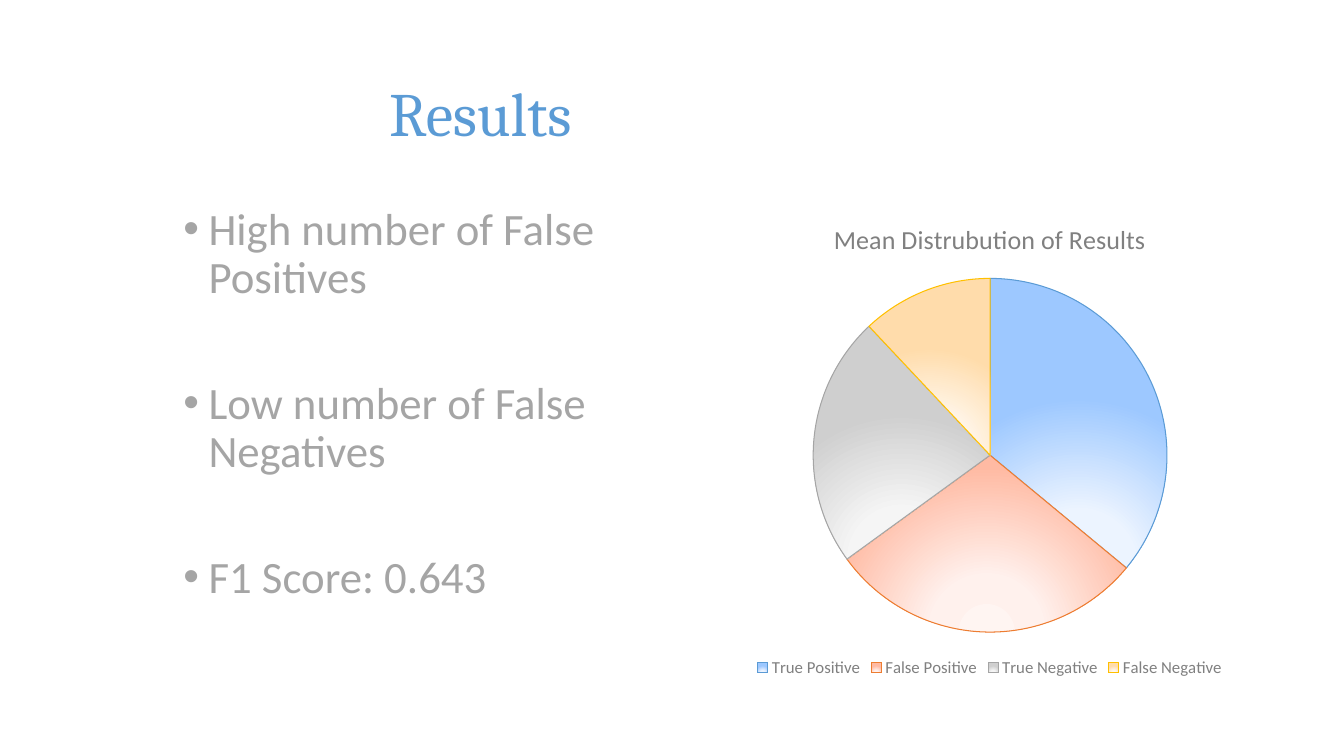
from pptx import Presentation
from pptx.chart.data import CategoryChartData
from pptx.dml.color import RGBColor
from pptx.enum.chart import XL_CHART_TYPE as ChartType, XL_LEGEND_POSITION as LegendAt
from pptx.enum.text import MSO_ANCHOR as Anchor, MSO_AUTO_SIZE as AutoSize, PP_ALIGN as Align
from pptx.oxml import parse_xml
from pptx.oxml.ns import nsdecls
from pptx.util import Inches, Pt

BLUE = RGBColor(0x5B, 0x9B, 0xD5)
ORANGE = RGBColor(0xED, 0x7D, 0x31)
GREY = RGBColor(0xA5, 0xA5, 0xA5)
GOLD = RGBColor(0xFF, 0xC0, 0x00)
LABEL_GREY = RGBColor(0x80, 0x80, 0x80)

CHART_TITLE = "Mean Distrubution of Results"
FINDINGS = ["High number of False Positives", "Low number of False Negatives",
            "F1 Score: 0.643"]
# Outcome, share, outline, gradient from the inner to the outer colour
OUTCOMES = [
    ("True Positive", 36, BLUE, ("F1F7FF", "ECF4FF", "9DC8FF")),
    ("False Positive", 29, ORANGE, ("FFF5F2", "FFF1ED", "FFBAA3")),
    ("True Negative", 23, GREY, ("F8F8F8", "F5F5F5", "CFCFCF")),
    ("False Negative", 12, GOLD, ("FFFAF4", "FFF8EF", "FFDCAB")),
]
GRADIENT_STOPS = (0, 34000, 100000)


def style(font, name, size, color):
    font.name, font.size, font.bold = name, Pt(size), False
    font.color.rgb = color


def add_title(slide, box, wording):
    title = slide.shapes.title
    title.left, title.top, title.width, title.height = box
    frame = title.text_frame
    frame.auto_size = AutoSize.NONE
    frame.vertical_anchor = Anchor.MIDDLE
    heading = frame.paragraphs[0]
    heading.alignment = Align.CENTER
    run = heading.add_run()
    run.text = wording
    style(run.font, "Cambria", 44, BLUE)


def add_findings(slide, box, findings):
    frame = slide.shapes.add_textbox(*box).text_frame
    frame.word_wrap = True
    for index, finding in enumerate(findings):
        item = frame.add_paragraph() if index else frame.paragraphs[0]
        item.line_spacing = 0.9
        item.space_before = Pt(55 if index else 0)
        run = item.add_run()
        run.text = finding
        style(run.font, "Calibri", 32, GREY)
        # Hanging bullet
        props = item._p.get_or_add_pPr()
        props.set("marL", str(Inches(0.25)))
        props.set("indent", str(-Inches(0.25)))
        props.append(parse_xml(f'<a:buFont {nsdecls("a")} typeface="Arial"/>'))
        props.append(parse_xml(f'<a:buChar {nsdecls("a")} char="•"/>'))


def radial_fill(colors):
    stops = "".join(f'<a:gs pos="{pos}"><a:srgbClr val="{color}"/></a:gs>'
                    for pos, color in zip(GRADIENT_STOPS, colors))
    return parse_xml(
        f'<a:gradFill {nsdecls("a")} rotWithShape="1"><a:gsLst>{stops}</a:gsLst>'
        '<a:path path="circle"><a:fillToRect l="50000" t="155000" r="50000" b="-55000"/>'
        '</a:path></a:gradFill>')


def add_outcome_pie(slide, box, outcomes):
    data = CategoryChartData()
    data.categories = [outcome[0] for outcome in outcomes]
    data.add_series(CHART_TITLE, [outcome[1] for outcome in outcomes])
    pie = slide.shapes.add_chart(ChartType.PIE, *box, data).chart
    style(pie.font, "Calibri", 12, LABEL_GREY)

    # Title and legend
    pie.has_title = True
    run = pie.chart_title.text_frame.paragraphs[0].add_run()
    run.text = CHART_TITLE
    style(run.font, "Calibri", 18.6, LABEL_GREY)
    pie.has_legend = True
    pie.legend.position = LegendAt.BOTTOM
    pie.legend.include_in_layout = False
    style(pie.legend.font, "Calibri", 12, LABEL_GREY)

    # Slices
    plot = pie.plots[0]
    plot.vary_by_categories = True
    for index, (_, _, outline, _) in enumerate(outcomes):
        line = plot.series[0].points[index].format.line
        line.color.rgb = outline
        line.width = Pt(0.75)
    slices = pie._chartSpace.xpath(".//c:dPt/c:spPr")
    for slice_props, outcome in zip(slices, outcomes):
        slice_props.insert(0, radial_fill(outcome[3]))

    # Plot position as shares of the chart
    area = pie._chartSpace.xpath(".//c:plotArea")[0]
    for old in area.xpath("c:layout"):
        area.remove(old)
    shares = "".join(f'<c:{key} val="{share}"/>' for key, share in
                     (("x", 0.163), ("y", 0.159), ("w", 0.675), ("h", 0.738)))
    area.insert(0, parse_xml(
        f'<c:layout {nsdecls("c")}><c:manualLayout><c:layoutTarget val="inner"/>'
        f'<c:xMode val="edge"/><c:yMode val="edge"/>{shares}</c:manualLayout></c:layout>'))


def build_results(slide, width, height):
    def place(x, y, w, h):
        return int(x * width), int(y * height), int(w * width), int(h * height)

    top, column, depth = 0.267, 0.39, 0.635
    add_title(slide, place(0.149, 0.051, 0.417, 0.193), "Results")
    add_findings(slide, place(0.129, top, column, depth), FINDINGS)
    add_outcome_pie(slide, place(0.5415, top, column, depth), OUTCOMES)


deck = Presentation()
deck.slide_width, deck.slide_height = Inches(13.33), Inches(7.5)
results = deck.slides.add_slide(deck.slide_layouts[5])
build_results(results, deck.slide_width, deck.slide_height)
deck.save("out.pptx")
